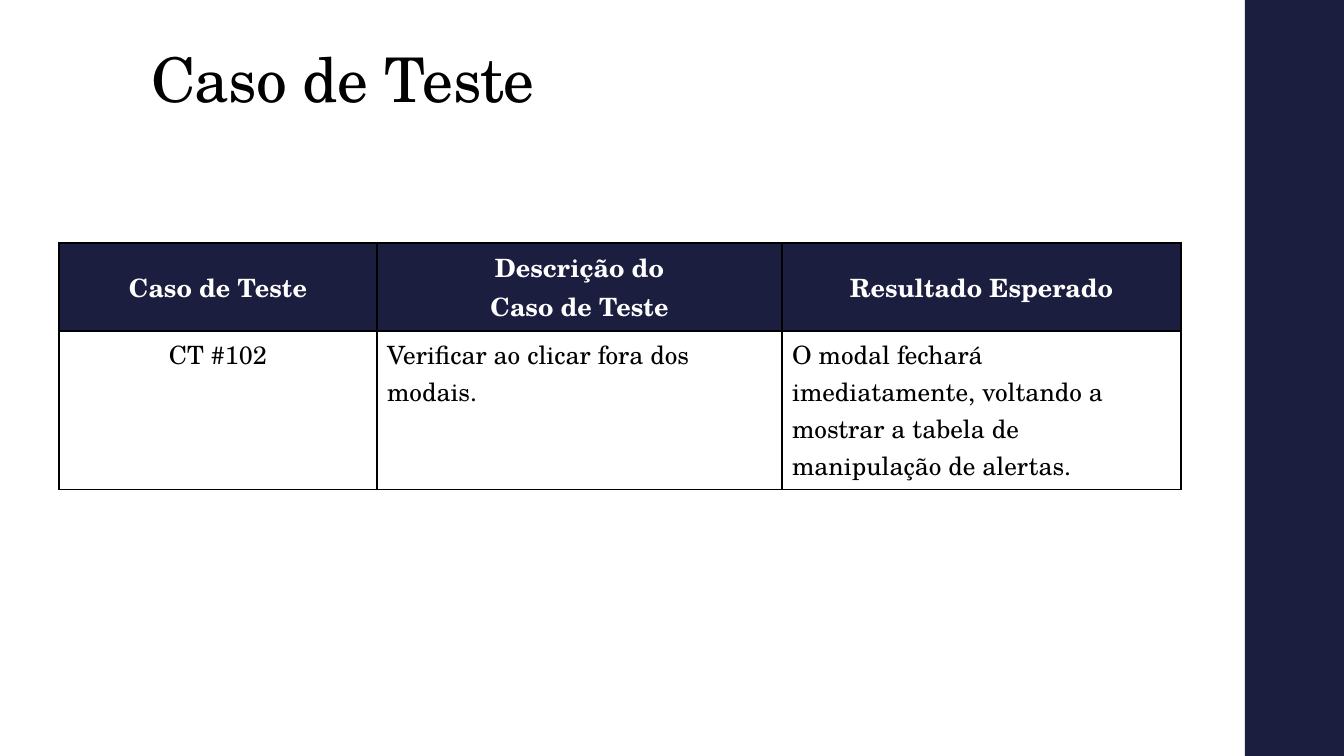
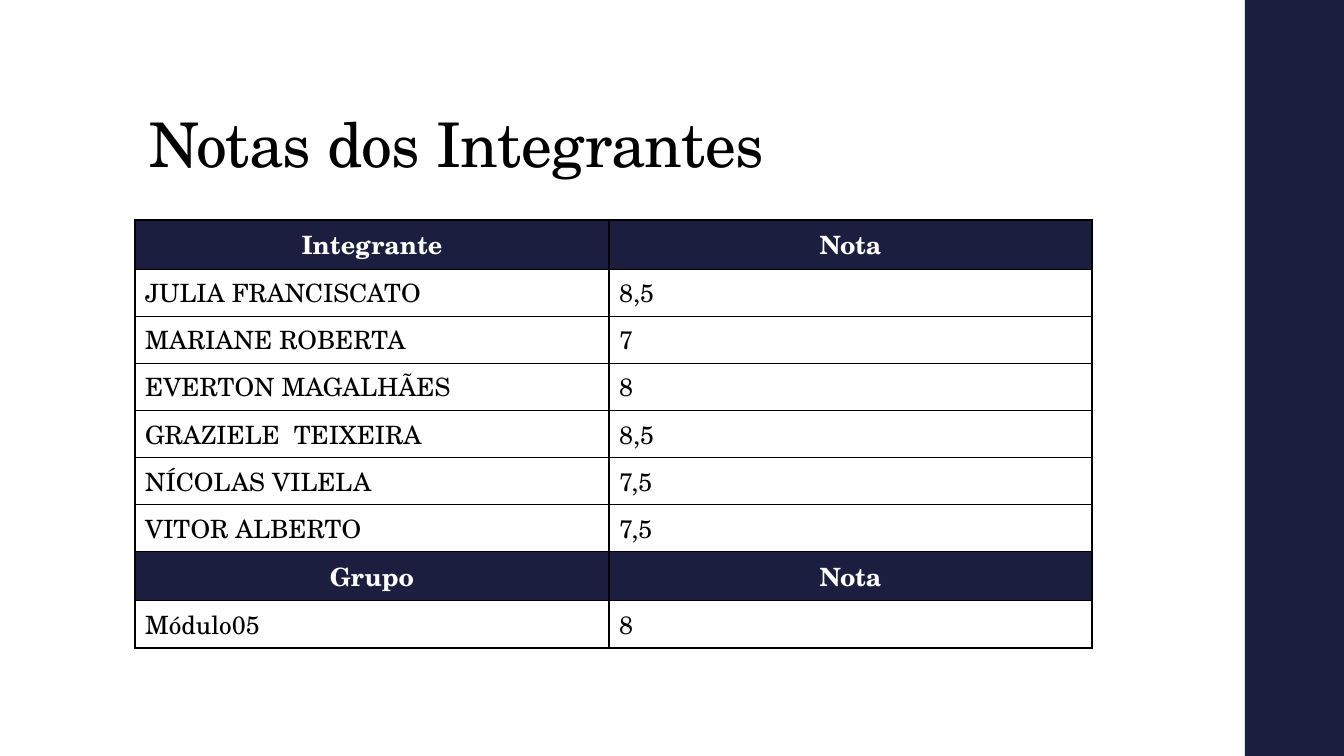
from lxml import etree
from pptx import Presentation, util as u
from pptx.dml.color import RGBColor
from pptx.enum import shapes, text
from pptx.oxml import ns

NAVY, WHITE, BLACK = "1B1E3E", "FFFFFF", "000000"
FONT = "TeX Gyre Schola"
WIDTH, HEIGHT, BAND_LEFT = 1344, 756, 1245
SCALE = 12192000 / WIDTH
HEADER_FMT = dict(name=FONT, size=u.Pt(18), bold=True)
BODY_FMT = dict(HEADER_FMT, bold=False)
TITLE_FMT = dict(name=FONT, size=u.Pt(44), bold=False)
TITLE_FRAME = dict(
    auto_size=text.MSO_AUTO_SIZE.NONE,
    vertical_anchor=text.MSO_ANCHOR.BOTTOM,
    word_wrap=True,
)
LEFT, CENTER = text.PP_ALIGN.LEFT, text.PP_ALIGN.CENTER
TOP, MIDDLE = text.MSO_ANCHOR.TOP, text.MSO_ANCHOR.MIDDLE


def px(*lengths):
    return [u.Emu(round(n * SCALE)) for n in lengths]


def rgb(value):
    return RGBColor.from_string(value)


def apply(target, fmt):
    for name, value in fmt.items():
        setattr(target, name, value)


class Deck:
    """Holds the shared style and the current slide."""

    def __init__(self):
        self.prs = Presentation()
        self.prs.slide_width, self.prs.slide_height = px(WIDTH, HEIGHT)
        self.s = None

    def slide(self, title, box):
        self.s = self.prs.slides.add_slide(self.prs.slide_layouts[5])
        self.band()
        self.title(title, box)

    def band(self):
        sp = self.s.shapes.add_shape(
            shapes.MSO_SHAPE.RECTANGLE, *px(BAND_LEFT, 0, WIDTH - BAND_LEFT, HEIGHT)
        )
        sp.shadow.inherit = False
        sp.fill.solid()
        sp.fill.fore_color.rgb = rgb(NAVY)
        sp.line.fill.background()

    def title(self, wording, box):
        sp = self.s.shapes.title
        apply(sp, dict(zip(("left", "top", "width", "height"), px(*box))))
        tf = sp.text_frame
        apply(tf, TITLE_FRAME)
        p = tf.paragraphs[0]
        apply(p, dict(alignment=LEFT, line_spacing=0.9))
        r = self.run(p, wording, TITLE_FMT, BLACK)
        r.font._element.set("spc", "-50")

    def run(self, p, wording, fmt, color):
        r = p.add_run()
        r.text = wording
        apply(r.font, fmt)
        r.font.color.rgb = rgb(color)
        return r

    def table(self, left, top, widths, heights, rows, headers=(0,), centered=()):
        box = px(left, top, sum(widths), sum(heights))
        tbl = self.s.shapes.add_table(len(rows), len(widths), *box).table
        tbl.horz_banding = False
        for column, width in zip(tbl.columns, px(*widths)):
            column.width = width
        for row, height in zip(tbl.rows, px(*heights)):
            row.height = height
        for i, row in enumerate(rows):
            for j, wording in enumerate(row):
                header = i in headers
                align = CENTER if header or j in centered else LEFT
                self.cell(tbl.cell(i, j), wording, header, align)

    def cell(self, cell, wording, header, align):
        self.borders(cell)
        cell.fill.solid()
        cell.fill.fore_color.rgb = rgb(NAVY if header else WHITE)
        cell.vertical_anchor = MIDDLE if header else TOP
        fmt, color = (HEADER_FMT, WHITE) if header else (BODY_FMT, BLACK)
        tf = cell.text_frame
        for n, line in enumerate(wording.split("\n")):
            p = tf.add_paragraph() if n else tf.paragraphs[0]
            p.alignment = align
            self.run(p, line, fmt, color)

    def borders(self, cell):
        tc_pr = cell._tc.get_or_add_tcPr()
        for side in "LRTB":
            ln = etree.SubElement(tc_pr, ns.qn(f"a:ln{side}"), w=str(u.Pt(1)))
            fill = etree.SubElement(ln, ns.qn("a:solidFill"))
            etree.SubElement(fill, ns.qn("a:srgbClr"), val=BLACK)


def main():
    deck = Deck()
    deck.slide("Caso de Teste", (141, 30, 1068, 91))
    deck.table(
        59, 243, (318, 405, 399), (88, 158),
        [
            ("Caso de Teste", "Descrição do\nCaso de Teste", "Resultado Esperado"),
            (
                "CT #102",
                "Verificar ao clicar fora dos modais.",
                "O modal fechará imediatamente, voltando a mostrar "
                "a tabela de manipulação de alertas.",
            ),
        ],
        centered=(0,),
    )

    deck.slide("Notas dos Integrantes", (139, 40, 1068, 146))
    grades = [
        ("Integrante", "Nota"),
        ("JULIA FRANCISCATO", "8,5"),
        ("MARIANE ROBERTA", "7"),
        ("EVERTON MAGALHÃES", "8"),
        ("GRAZIELE  TEIXEIRA", "8,5"),
        ("NÍCOLAS VILELA", "7,5"),
        ("VITOR ALBERTO", "7,5"),
        ("Grupo", "Nota"),
        ("Módulo05", "8"),
    ]
    headers = (0, 7)
    heights = [49 if i in headers else 47 for i in range(len(grades))]
    deck.table(135, 220, (474, 483), heights, grades, headers)
    deck.prs.save("out.pptx")


if __name__ == "__main__":
    main()
